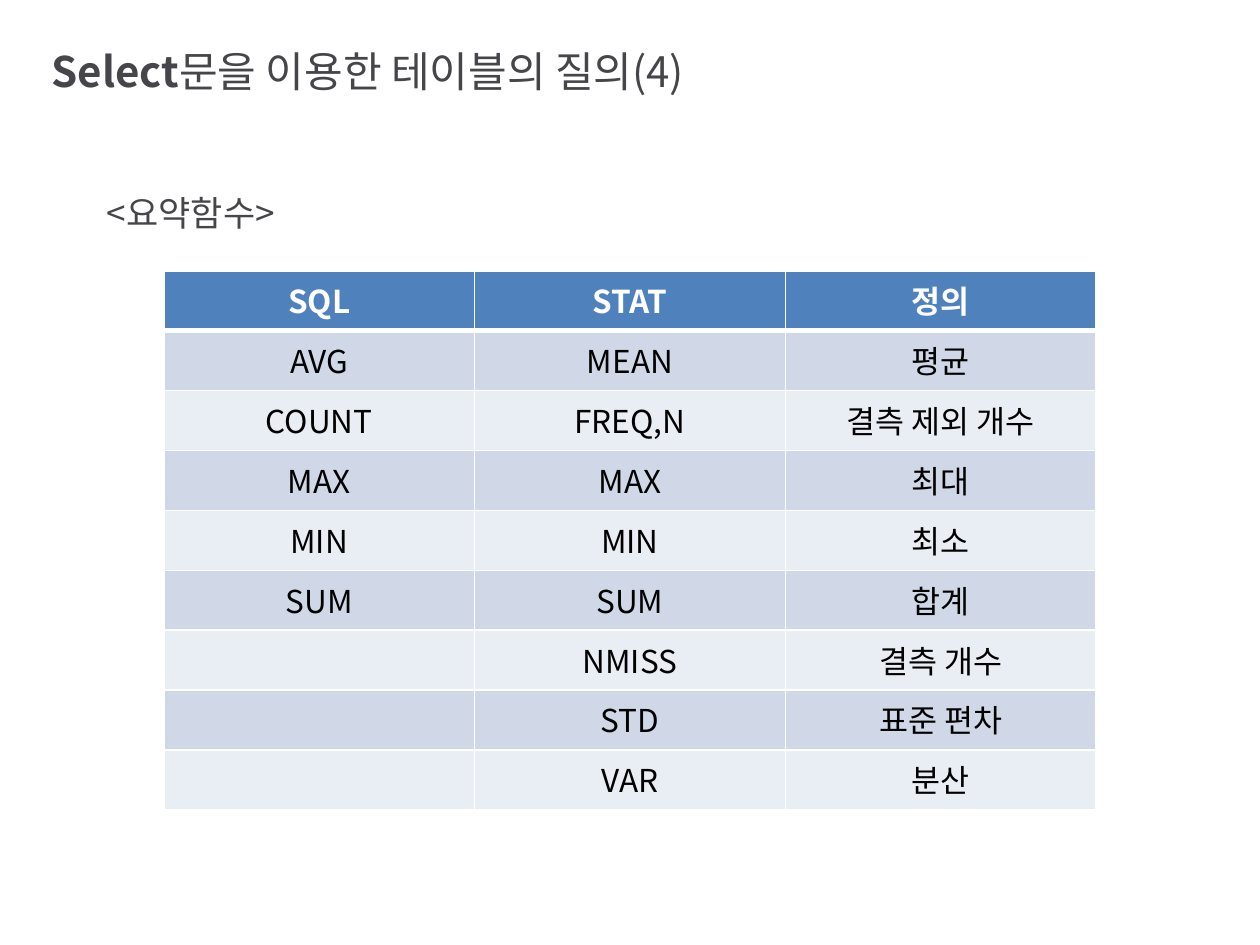
from lxml import etree
from pptx import Presentation
from pptx.dml.color import RGBColor
from pptx.enum import text as tx
from pptx.oxml import ns
from pptx.util import Inches, Pt

FONT = "Noto Sans CJK KR"
GRAY = RGBColor(0x46, 0x46, 0x4A)
BLUE = RGBColor(0x4F, 0x81, 0xBD)
BANDS = RGBColor(0xD0, 0xD8, 0xE8), RGBColor(0xE9, 0xED, 0xF4)
WHITE = RGBColor(255, 255, 255)
BLACK = RGBColor(0, 0, 0)

ROWS = [
    ("SQL", "STAT", "정의"),
    ("AVG", "MEAN", "평균"),
    ("COUNT", "FREQ,N", "결측 제외 개수"),
    ("MAX", "MAX", "최대"),
    ("MIN", "MIN", "최소"),
    ("SUM", "SUM", "합계"),
    ("", "NMISS", "결측 개수"),
    ("", "STD", "표준 편차"),
    ("", "VAR", "분산"),
]


def style(para, size, color, align=tx.PP_ALIGN.LEFT, bold=False):
    """Format a paragraph, with the same face for Latin and Korean."""
    para.alignment = align
    font = para.font
    font.name, font.size, font.bold = FONT, Pt(size), bold
    font.color.rgb = color
    props = para._p.pPr.find(ns.qn("a:defRPr"))
    east = etree.Element(ns.qn("a:ea"), typeface=FONT)
    props.find(ns.qn("a:latin")).addnext(east)


def place(shape, box):
    shape.left, shape.top, shape.width, shape.height = map(Inches, box)


def add_title(slide, box):
    title = slide.shapes.title
    place(title, box)
    frame = title.text_frame
    frame.word_wrap = False
    frame.auto_size = tx.MSO_AUTO_SIZE.SHAPE_TO_FIT_TEXT
    frame.vertical_anchor = tx.MSO_ANCHOR.TOP
    para = frame.paragraphs[0]
    for words, bold in (("Select", True), ("문을 이용한 테이블의 질의(4)", False)):
        run = para.add_run()
        run.text, run.font.bold = words, bold
    style(para, 24, GRAY)


def add_label(slide, box):
    frame = slide.shapes.add_textbox(*map(Inches, box)).text_frame
    frame.word_wrap = True
    frame.auto_size = tx.MSO_AUTO_SIZE.SHAPE_TO_FIT_TEXT
    frame.text = "<요약함수>"
    style(frame.paragraphs[0], 20, GRAY)


def underline(cell, width):
    """Draw a white border below a cell."""
    line = etree.Element(ns.qn("a:lnB"), w=str(Pt(width)))
    fill = etree.SubElement(line, ns.qn("a:solidFill"))
    etree.SubElement(fill, ns.qn("a:srgbClr"), val=str(WHITE))
    cell._tc.get_or_add_tcPr().insert(0, line)


def add_grid(slide, box):
    # The default table style supplies the thin white cell borders
    grid = slide.shapes.add_table(len(ROWS), len(ROWS[0]), *map(Inches, box)).table
    for i, row in enumerate(ROWS):
        head = i == 0
        for j, words in enumerate(row):
            cell = grid.cell(i, j)
            cell.fill.solid()
            cell.fill.fore_color.rgb = BLUE if head else BANDS[(i - 1) % 2]
            cell.text = words
            style(cell.text_frame.paragraphs[0], 18, WHITE if head else BLACK,
                  tx.PP_ALIGN.CENTER, head)
            if head:
                underline(cell, 3)


def main():
    deck = Presentation()
    deck.slide_width, deck.slide_height = Inches(10), Inches(7.5)
    slide = deck.slides.add_slide(deck.slide_layouts[5])
    add_title(slide, (0.31, 0.31, 5.96, 0.5))
    add_grid(slide, (1.3, 2.15, 7.4, 4.28))
    add_label(slide, (0.75, 1.47, 2.13, 0.44))
    deck.save("out.pptx")


if __name__ == "__main__":
    main()
